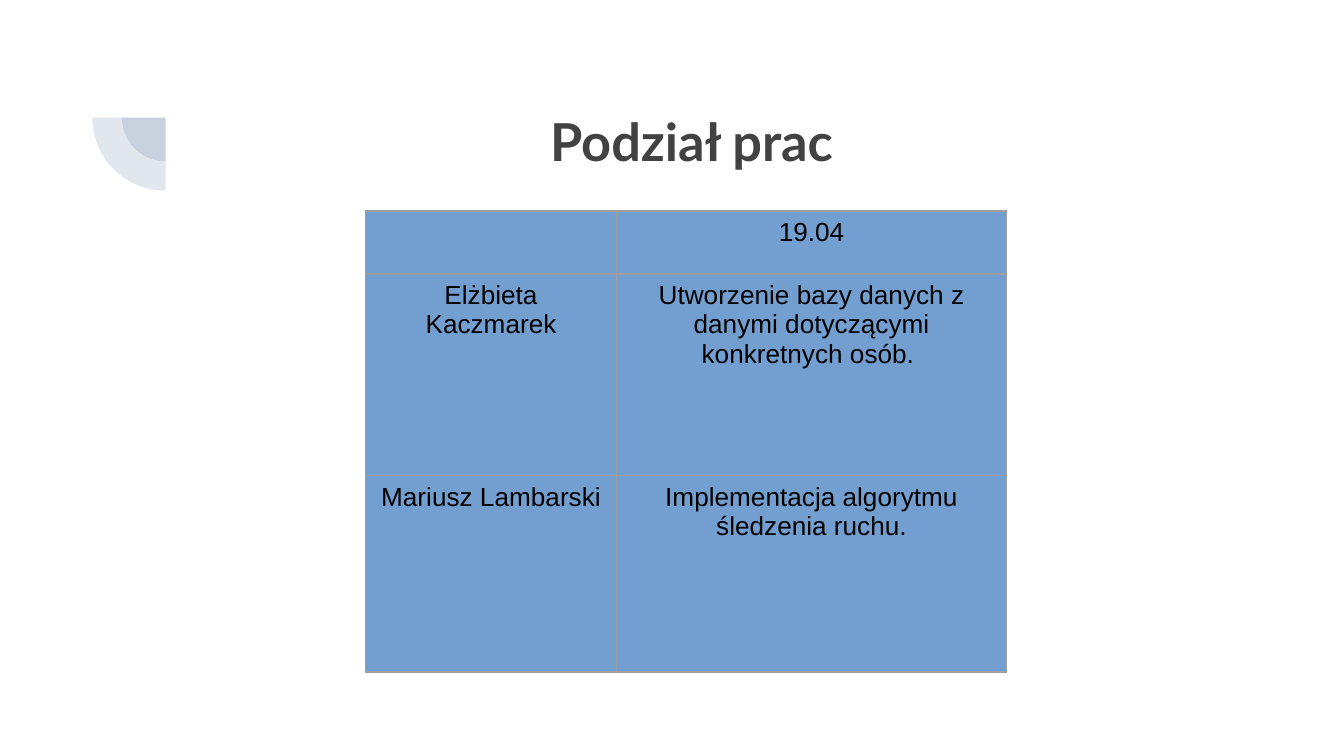
from lxml.etree import SubElement
from pptx import Presentation
from pptx.dml.color import RGBColor
from pptx.enum.shapes import MSO_SHAPE
from pptx.enum.text import MSO_ANCHOR, PP_ALIGN
from pptx.oxml.ns import qn
from pptx.util import Pt

TITLE = "Podział prac"
TASKS = [
    ("", "19.04"),
    ("Elżbieta Kaczmarek", "Utworzenie bazy danych z danymi dotyczącymi konkretnych osób. "),
    ("Mariusz Lambarski", "Implementacja algorytmu śledzenia ruchu."),
]

NAVY = RGBColor(0x1F, 0x49, 0x7D)
CHARCOAL = RGBColor(0x42, 0x42, 0x42)
BLACK = RGBColor(0, 0, 0)
CELL_BLUE = RGBColor(0x72, 0x9F, 0xCF)
BORDER_GRAY = RGBColor(0x9E, 0x9E, 0x9E)

COLUMN_WIDTHS = [134.6, 208.8]
ROW_HEIGHTS = [33.8, 108, 105.2]
TABLE_LEFT, TABLE_TOP = 195.8, 113
ARC_CENTER = (88.7, 63)
ARC_DIAMETERS = [46.8, 78.4]


def style_run(paragraph, font_name, size, color, bold=False):
    paragraph.alignment = PP_ALIGN.CENTER
    for run in paragraph.runs:
        run.font.name = font_name
        run.font.size = Pt(size)
        run.font.bold = bold
        run.font.color.rgb = color


def add_title(slide):
    title = slide.shapes.title
    title.left, title.top, title.width, title.height = Pt(93.6), Pt(36), Pt(553.7), Pt(78.5)
    frame = title.text_frame
    frame.text = TITLE
    frame.vertical_anchor = MSO_ANCHOR.MIDDLE
    frame.margin_left = frame.margin_top = frame.margin_right = frame.margin_bottom = 0
    style_run(frame.paragraphs[0], "Lato", 28, CHARCOAL, bold=True)


def add_quarter_disc(slide, diameter):
    left, top = (center - diameter / 2 for center in ARC_CENTER)
    disc = slide.shapes.add_shape(MSO_SHAPE.PIE, Pt(left), Pt(top), Pt(diameter), Pt(diameter))
    disc.adjustments[0], disc.adjustments[1] = 108, 162
    disc.rotation = 270
    disc.shadow.inherit = False
    disc.line.fill.background()
    disc.fill.solid()
    disc.fill.fore_color.rgb = NAVY
    color = disc.fill._xPr.find(qn("a:solidFill")).find(qn("a:srgbClr"))
    SubElement(color, qn("a:alpha"), val="13000")


def add_borders(cell):
    properties = cell._tc.get_or_add_tcPr()
    for side in ("L", "R", "T", "B"):
        border = SubElement(properties, qn(f"a:ln{side}"), w=str(Pt(0.75)))
        fill = SubElement(border, qn("a:solidFill"))
        SubElement(fill, qn("a:srgbClr"), val=str(BORDER_GRAY))


def add_task_table(slide):
    table = slide.shapes.add_table(
        len(TASKS), len(COLUMN_WIDTHS), Pt(TABLE_LEFT), Pt(TABLE_TOP),
        Pt(sum(COLUMN_WIDTHS)), Pt(sum(ROW_HEIGHTS))).table
    table.first_row = table.horz_banding = False
    for column, width in zip(table.columns, COLUMN_WIDTHS):
        column.width = Pt(width)
    for row, height, entries in zip(table.rows, ROW_HEIGHTS, TASKS):
        row.height = Pt(height)
        for cell, entry in zip(row.cells, entries):
            add_borders(cell)
            cell.fill.solid()
            cell.fill.fore_color.rgb = CELL_BLUE
            cell.text_frame.text = entry
            style_run(cell.text_frame.paragraphs[0], "Arial", 14, BLACK)


def main():
    deck = Presentation()
    deck.slide_width, deck.slide_height = Pt(720), Pt(405)
    slide = deck.slides.add_slide(deck.slide_layouts.get_by_name("Title Only"))
    for diameter in ARC_DIAMETERS:
        add_quarter_disc(slide, diameter)
    add_title(slide)
    add_task_table(slide)
    deck.save("out.pptx")


if __name__ == "__main__":
    main()
